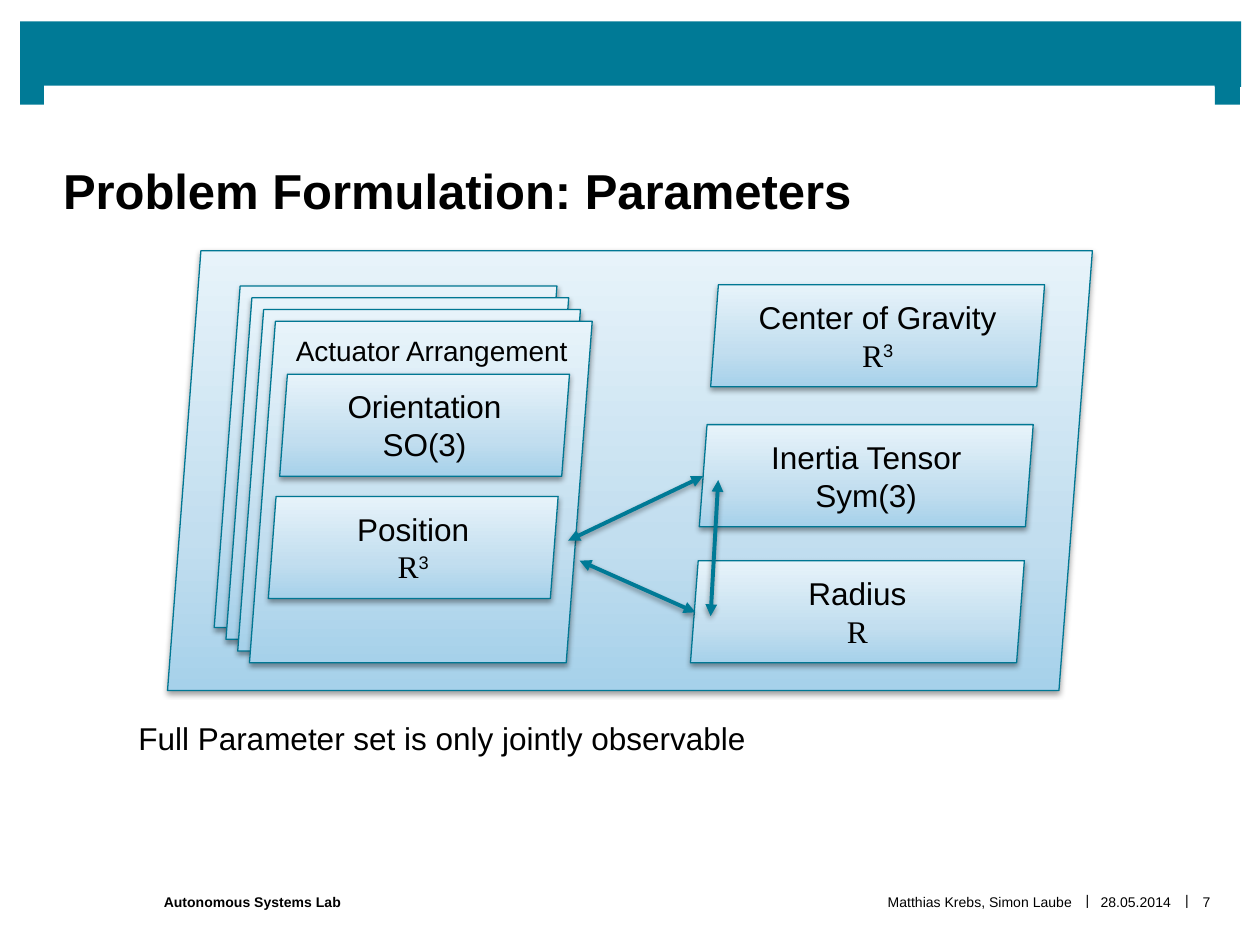
"""Build the slide on the parameters of the problem formulation."""
from lxml.etree import SubElement
from pptx import Presentation
from pptx.dml.color import RGBColor
from pptx.enum.shapes import MSO_CONNECTOR, MSO_SHAPE
from pptx.enum.text import MSO_ANCHOR, PP_ALIGN
from pptx.oxml import parse_xml
from pptx.oxml.ns import nsdecls, qn
from pptx.util import Inches, Pt

TEAL = RGBColor(0x00, 0x7A, 0x96)
EDGE = RGBColor(0x00, 0x77, 0x93)
BLACK = RGBColor(0, 0, 0)
WHITE = RGBColor(0xFF, 0xFF, 0xFF)
FADE = [
    (0, RGBColor(0xA6, 0xD1, 0xEA)),
    (35, RGBColor(0xC2, 0xDE, 0xEF)),
    (100, RGBColor(0xE7, 0xF3, 0xFA)),
]
SANS, SERIF = "Arial", "Times New Roman"
LEFT, MID, RIGHT = PP_ALIGN.LEFT, PP_ALIGN.CENTER, PP_ALIGN.RIGHT

BARS = [(0.16, 0.17, 9.69, 0.52), (0.16, 0.65, 0.2, 0.18), (9.64, 0.65, 0.2, 0.18)]
TITLE = "Problem Formulation: Parameters"
FOOT = [
    ("|", 9.36, 0.12, MID, False),
    ("|", 8.57, 0.12, MID, False),
    ("Autonomous Systems Lab", 1.3, 3.7, LEFT, True),
    ("Matthias Krebs, Simon Laube", 5, 3.51, RIGHT, False),
    ("7", 9.43, 0.29, MID, False),
    ("28.05.2014", 8.68, 0.67, MID, False),
]
FRAME = (1.33, 1.99, 7.34, 3.49)
STACK = {"count": 4, "first": (1.7, 2.27), "shift": 0.28, "size": (2.72, 2.71)}
REAL = ("R", SERIF, False)
CUBE = ("3", SANS, True)
CARDS = [
    (2.22, 2.97, 2.3, "Orientation", [("SO(3)", SANS, False)]),
    (2.13, 3.94, 2.3, "Position", [REAL, CUBE]),
    (5.64, 2.26, 2.65, "Center of Gravity", [REAL, CUBE]),
    (5.55, 3.37, 2.65, "Inertia Tensor", [("Sym(3)", SANS, False)]),
    (5.48, 4.45, 2.65, "Radius", [REAL]),
]
HIGH = 0.81
LINKS = [
    (4.51, 4.29, 5.58, 3.78),
    (4.6, 4.45, 5.52, 4.86),
    (5.64, 4.89, 5.7, 3.81),
]


def add_run(para, text, size, face=SANS, bold=False, sup=False):
    run = para.add_run()
    run.text = text
    font = run.font
    font.name, font.size, font.bold = face, Pt(size), bold
    font.color.rgb = BLACK
    if sup:
        run._r.get_or_add_rPr().set("baseline", "30000")


def add_text(slide, place, text, size, align=LEFT, bold=False,
             anchor=MSO_ANCHOR.TOP, pads=(0.1, 0.05, 0.1, 0.05)):
    box = slide.shapes.add_textbox(*map(Inches, place))
    frame = box.text_frame
    frame.word_wrap = True
    frame.vertical_anchor = anchor
    (frame.margin_left, frame.margin_top,
     frame.margin_right, frame.margin_bottom) = map(Inches, pads)
    para = frame.paragraphs[0]
    para.alignment = align
    add_run(para, text, size, bold=bold)
    return box


def add_shade(shape):
    props = shape._element.spPr
    for old in props.findall(qn("a:effectLst")):
        props.remove(old)
    props.append(parse_xml(
        f'<a:effectLst {nsdecls("a")}>'
        '<a:outerShdw blurRad="40000" dist="20000" dir="5400000" rotWithShape="0">'
        '<a:srgbClr val="000000"><a:alpha val="38000"/></a:srgbClr>'
        '</a:outerShdw></a:effectLst>'))


def add_bar(slide, place):
    bar = slide.shapes.add_shape(MSO_SHAPE.RECTANGLE, *map(Inches, place))
    bar.shadow.inherit = False
    bar.fill.solid()
    bar.fill.fore_color.rgb = TEAL
    bar.line.fill.background()


def add_panel(slide, place):
    panel = slide.shapes.add_shape(MSO_SHAPE.PARALLELOGRAM, *map(Inches, place))
    panel.adjustments[0] = 0.076
    panel.fill.gradient()
    panel.fill.gradient_angle = 90
    stops = panel._element.spPr.find(qn("a:gradFill")).find(qn("a:gsLst"))
    for old in list(stops):
        stops.remove(old)
    for pos, color in FADE:
        stop = SubElement(stops, qn("a:gs"), pos=str(pos * 1000))
        SubElement(stop, qn("a:srgbClr"), val=str(color))
    panel.line.color.rgb = EDGE
    panel.line.width = Pt(0.75)
    add_shade(panel)
    return panel


def add_card(slide, left, top, wide, name, space):
    frame = add_panel(slide, (left, top, wide, HIGH)).text_frame
    frame.word_wrap = True
    frame.vertical_anchor = MSO_ANCHOR.MIDDLE
    para = frame.paragraphs[0]
    para.alignment = MID
    add_run(para, name, 18)
    para.add_line_break()
    for text, face, sup in space:
        add_run(para, text, 18, face, sup=sup)


def add_link(slide, ends):
    link = slide.shapes.add_connector(MSO_CONNECTOR.STRAIGHT, *map(Inches, ends))
    link.line.color.rgb = TEAL
    link.line.width = Pt(2.25)
    line = link.line._get_or_add_ln()
    for end in ("a:headEnd", "a:tailEnd"):
        SubElement(line, qn(end), type="triangle")
    add_shade(link)


def main():
    deck = Presentation()
    deck.slide_width, deck.slide_height = Inches(10), Inches(7.5)
    slide = deck.slides.add_slide(deck.slide_layouts[6])
    for place in BARS:
        add_bar(slide, place)
    for text, left, wide, align, bold in FOOT:
        top = 6.89 if text == "|" else 6.9
        add_text(slide, (left, top, wide, 0.51), text, 8, align, bold,
                 MSO_ANCHOR.MIDDLE, (0, 0, 0, 0))
    title = add_text(slide, (0.35, 0.68, 9.29, 1.06), TITLE, 28, bold=True,
                     anchor=MSO_ANCHOR.BOTTOM, pads=(0.15, 0, 0.16, 0))
    title.fill.solid()
    title.fill.fore_color.rgb = WHITE

    add_panel(slide, FRAME)
    left, top = STACK["first"]
    for num in range(STACK["count"]):
        step = STACK["shift"] * num / (STACK["count"] - 1)
        add_panel(slide, (left + step, top + step, *STACK["size"]))
    add_text(slide, (2.25, 2.6, 2.45, 0.37), "Actuator Arrangement", 16)
    for card in CARDS:
        add_card(slide, *card)
    add_text(slide, (1, 5.66, 5.14, 0.4),
             "Full Parameter set is only jointly observable", 18)
    for ends in LINKS:
        add_link(slide, ends)
    deck.save("out.pptx")


if __name__ == "__main__":
    main()
